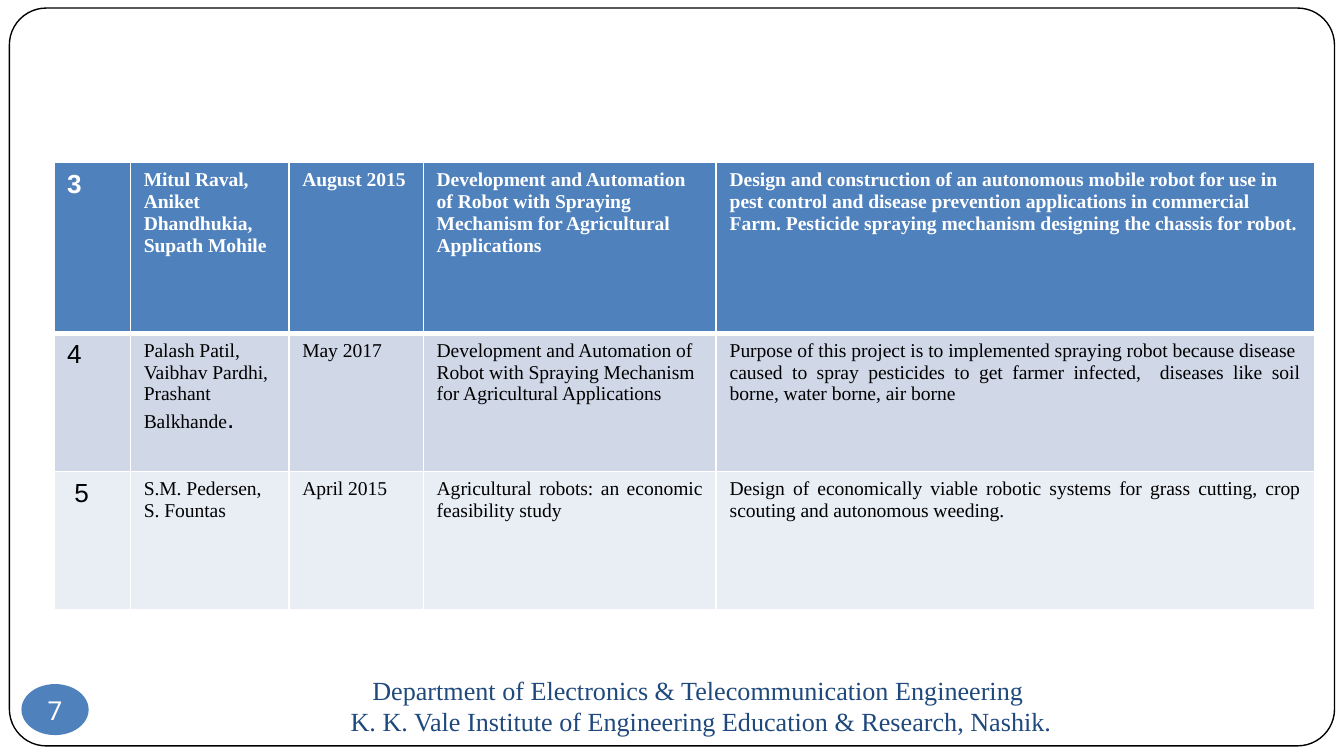
from lxml import etree
from pptx import Presentation
from pptx.dml.color import RGBColor
from pptx.enum.shapes import MSO_SHAPE
from pptx.enum.text import MSO_ANCHOR, PP_ALIGN
from pptx.oxml.ns import qn
from pptx.util import Inches, Pt

ROUNDED, OVAL = MSO_SHAPE.ROUNDED_RECTANGLE, MSO_SHAPE.OVAL
LEFT, CENTER, JUSTIFY = PP_ALIGN.LEFT, PP_ALIGN.CENTER, PP_ALIGN.JUSTIFY
MIDDLE = MSO_ANCHOR.MIDDLE
SERIF, SANS = "Times New Roman", "Arial"
COLORS = {
    "white": "FFFFFF",
    "black": "000000",
    "navy": "1F497D",
    "blue": "4F81BD",
    "band": "D0D8E8",
    "pale": "E9EDF4",
}


def color(name):
    return RGBColor.from_string(COLORS[name])


def style(paragraph, font, size, ink, align=LEFT, bold=False):
    paragraph.alignment = align
    paragraph.font.name = font
    paragraph.font.size = Pt(size)
    paragraph.font.color.rgb = color(ink)
    paragraph.font.bold = bold


deck = Presentation()
deck.slide_width, deck.slide_height = Inches(10), Inches(10) * 9 // 16
page = deck.slides.add_slide(deck.slide_layouts[6])

frame = page.shapes.add_shape(ROUNDED, Inches(0.07), Inches(0.06), Inches(9.86), Inches(5.49))
frame.adjustments[0] = 0.05
frame.shadow.inherit = False
frame.fill.solid()
frame.fill.fore_color.rgb = color("white")
frame.line.color.rgb = color("black")
frame.line.width = Pt(0.75)

footer = page.shapes.add_textbox(Inches(1), Inches(5.06), Inches(8.44), Inches(0.38))
footer.text_frame.word_wrap = True
footer.text_frame.vertical_anchor = MIDDLE
footer.text_frame.text = (
    "Department of Electronics & Telecommunication Engineering \n"
    "K. K. Vale Institute of Engineering Education & Research, Nashik."
)
for paragraph in footer.text_frame.paragraphs:
    style(paragraph, SERIF, 14, "navy", CENTER)

badge = page.shapes.add_shape(OVAL, Inches(0.16), Inches(5.09), Inches(0.5), Inches(0.38))
badge.shadow.inherit = False
badge.fill.solid()
badge.fill.fore_color.rgb = color("blue")
badge.line.fill.background()
label = badge.text_frame
label.margin_left = label.margin_right = label.margin_top = label.margin_bottom = 0
label.vertical_anchor = MIDDLE
label.text = "7"
style(label.paragraphs[0], "Roboto", 14, "white", CENTER)

papers = [
    ["3", "Mitul Raval,\nAniket Dhandhukia,  Supath Mohile", "August 2015",
     "Development and Automation of Robot with Spraying Mechanism for Agricultural Applications",
     "Design and construction of an autonomous mobile robot for use in pest control and disease "
     "prevention applications in commercial Farm. Pesticide spraying mechanism designing the "
     "chassis for robot."],
    ["4", "Palash Patil,\nVaibhav Pardhi,\nPrashant Balkhande", "May 2017",
     "Development and Automation of Robot with Spraying Mechanism for Agricultural Applications",
     "Purpose of this project is to implemented spraying robot because disease  caused to spray "
     "pesticides to get farmer infected,  diseases like soil borne, water borne, air borne"],
    [" 5", "S.M. Pedersen, S. Fountas", "April 2015",
     "Agricultural robots: an economic feasibility study",
     "Design of economically viable robotic systems for grass cutting, crop scouting and "
     "autonomous weeding."],
]
column_widths = [0.57, 1.18, 1, 2.18, 4.45]
row_heights = [1.27, 1.03, 1.03]
row_fills = ["blue", "band", "pale"]
justified = {(0, 2), (1, 4), (2, 3), (2, 4)}

table = page.shapes.add_table(
    len(papers), len(column_widths), Inches(0.4), Inches(1.21),
    Inches(sum(column_widths)), Inches(sum(row_heights)),
).table
for column, width in zip(table.columns, column_widths):
    column.width = Inches(width)
for row, height in zip(table.rows, row_heights):
    row.height = Inches(height)

for r, paper in enumerate(papers):
    for c, text in enumerate(paper):
        cell = table.cell(r, c)
        cell.fill.solid()
        cell.fill.fore_color.rgb = color(row_fills[r])
        cell.text = text
        font, size = (SANS, 14) if c == 0 else (SERIF, 10.5)
        ink = "white" if r == 0 else "black"
        align = JUSTIFY if (r, c) in justified else LEFT
        for paragraph in cell.text_frame.paragraphs:
            style(paragraph, font, size, ink, align, bold=r == 0)

        borders = {"a:lnL": 1, "a:lnR": 1, "a:lnT": 3 if r == 1 else 1, "a:lnB": 3 if r == 0 else 1}
        properties = cell._tc.get_or_add_tcPr()
        for position, (side, weight) in enumerate(borders.items()):
            border = etree.Element(qn(side), w=str(Pt(weight)))
            paint = etree.SubElement(border, qn("a:solidFill"))
            etree.SubElement(paint, qn("a:srgbClr"), val=COLORS["white"])
            properties.insert(position, border)

full_stop = table.cell(1, 1).text_frame.paragraphs[-1].add_run()
full_stop.text = "."
full_stop.font.name = SANS
full_stop.font.size = Pt(14)

deck.save("out.pptx")
